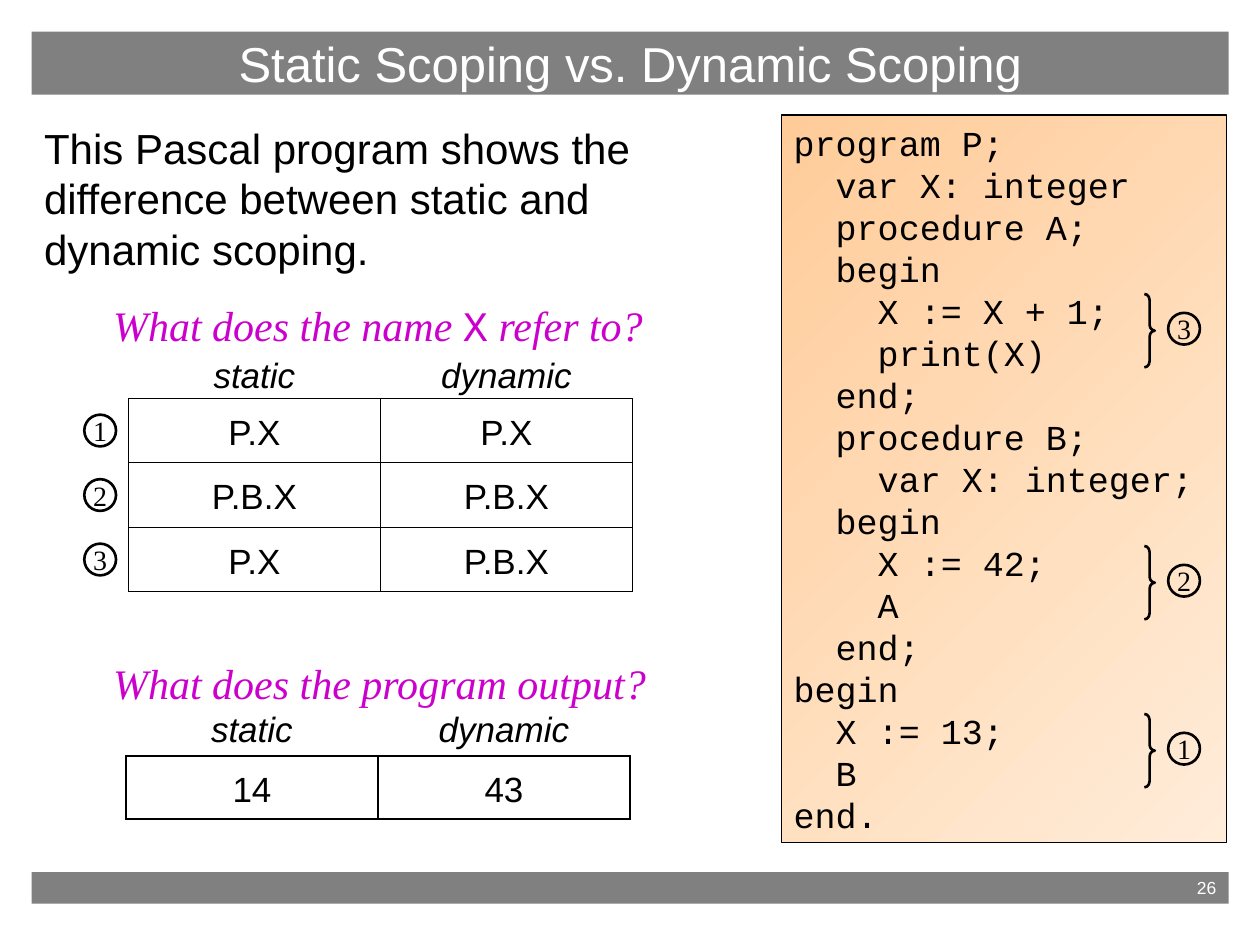
from dataclasses import dataclass
from typing import Optional

from lxml.etree import SubElement
from pptx import Presentation
from pptx.dml.color import RGBColor
from pptx.enum.shapes import MSO_SHAPE as Preset
from pptx.enum.text import MSO_ANCHOR as Anchor, PP_ALIGN as Align
from pptx.oxml.ns import qn
from pptx.util import Cm, Pt


@dataclass(frozen=True)
class TextStyle:
    font: str
    size: float
    color: str = "000000"
    italic: bool = False
    align: Align = Align.LEFT
    line_points: Optional[float] = None


@dataclass(frozen=True)
class Theme:
    bar: str = "808080"
    ink: str = "000000"
    code_dark: str = "FFCC99"
    code_light: str = "FFECD9"
    thin: float = 0.75
    thick: float = 1.5
    title: TextStyle = TextStyle("Arial", 28, "FFFFFF", align=Align.CENTER)
    page_number: TextStyle = TextStyle("Arial", 10, "FFFFFF", align=Align.RIGHT)
    body: TextStyle = TextStyle("Arial", 24, line_points=28.8)
    code: TextStyle = TextStyle("Courier New", 20, line_points=24)
    question: TextStyle = TextStyle("Times New Roman", 24, "CC00CC", True)
    heading: TextStyle = TextStyle("Arial", 20, italic=True, align=Align.CENTER)
    cell: TextStyle = TextStyle("Arial", 20, align=Align.CENTER)
    badge: TextStyle = TextStyle("Times New Roman", 16, align=Align.CENTER)


@dataclass(frozen=True)
class Box:
    """A rectangle in centimetres."""
    left: float
    top: float
    width: float
    height: float

    def lengths(self) -> tuple:
        return Cm(self.left), Cm(self.top), Cm(self.width), Cm(self.height)


@dataclass(frozen=True)
class AnswerGrid:
    left: float
    top: float
    row_height: float
    heading_top: float
    rows: tuple


@dataclass(frozen=True)
class CodeMark:
    """A numbered brace beside two code lines, starting at first_line."""
    first_line: int
    number: str


THEME = Theme()
COLUMN = 5.08
BADGE = 0.64
LINE_PITCH = 2.54 / 3
HEADINGS = ("static", "dynamic")
MARKS = (CodeMark(4, "3"), CodeMark(10, "2"), CodeMark(14, "1"))
NAMES = AnswerGrid(2.59, 8.03, 1.3, 6.99,
                   (("P.X", "P.X"), ("P.B.X", "P.B.X"), ("P.X", "P.B.X")))
OUTPUT = AnswerGrid(2.54, 15.24, 1.27, 14.12, (("14", "43"),))
CODE = """program P;
  var X: integer
  procedure A;
  begin
    X := X + 1;
    print(X)
  end;
  procedure B;
    var X: integer;
  begin
    X := 42;
    A
  end;
begin
  X := 13;
  B
end."""


def rgb(color: str) -> RGBColor:
    return RGBColor.from_string(color)


def style_span(span, style: TextStyle) -> None:
    span.font.name = style.font
    span.font.size = Pt(style.size)
    span.font.italic = style.italic
    span.font.color.rgb = rgb(style.color)


def write(frame, text: str, style: TextStyle, anchor=Anchor.MIDDLE) -> None:
    frame.word_wrap = True
    frame.vertical_anchor = anchor
    para = frame.paragraphs[0]
    para.text = text
    para.alignment = style.align
    if style.line_points:
        para.line_spacing = Pt(style.line_points)
    for span in para.runs:
        style_span(span, style)


def add_text(page, box: Box, text: str, style: TextStyle, anchor=Anchor.MIDDLE):
    label = page.shapes.add_textbox(*box.lengths())
    write(label.text_frame, text, style, anchor)
    return label


def add_preset(page, preset: Preset, box: Box, line: float = 0):
    """Add an unfilled shape; a line width of 0 leaves out the outline."""
    shape = page.shapes.add_shape(preset, *box.lengths())
    shape.shadow.inherit = False
    shape.fill.background()
    if line:
        shape.line.color.rgb = rgb(THEME.ink)
        shape.line.width = Pt(line)
    else:
        shape.line.fill.background()
    return shape


def add_bar(page, box: Box, text: str, style: TextStyle) -> None:
    bar = add_preset(page, Preset.RECTANGLE, box)
    bar.fill.solid()
    bar.fill.fore_color.rgb = rgb(THEME.bar)
    write(bar.text_frame, text, style)


def add_badge(page, left: float, top: float, number: str) -> None:
    badge = add_preset(page, Preset.OVAL, Box(left, top, BADGE, BADGE), THEME.thick)
    frame = badge.text_frame
    write(frame, number, THEME.badge)
    frame.word_wrap = False
    frame.margin_left = frame.margin_right = frame.margin_top = frame.margin_bottom = 0


def add_code(page) -> None:
    panel = add_preset(page, Preset.RECTANGLE, Box(15.75, 2.32, 8.97, 14.66), THEME.thin)
    panel.fill.gradient()
    panel.fill.gradient_angle = 315
    for stop, color in zip(panel.fill.gradient_stops, (THEME.code_dark, THEME.code_light)):
        stop.color.rgb = rgb(color)
    write(panel.text_frame, CODE, THEME.code)
    for mark in MARKS:
        top = 2.54 + mark.first_line * LINE_PITCH
        brace = add_preset(page, Preset.RIGHT_BRACE, Box(23.07, top, 0.21, 1.48), THEME.thick)
        brace.adjustments[0] = 0.58
        add_badge(page, 23.55, top + 0.38, mark.number)


def outline_cell(cell) -> None:
    properties = cell._tc.get_or_add_tcPr()
    for side in ("a:lnL", "a:lnR", "a:lnT", "a:lnB"):
        edge = SubElement(properties, qn(side), w=str(Pt(THEME.thin)))
        fill = SubElement(edge, qn("a:solidFill"))
        SubElement(fill, qn("a:srgbClr"), val=THEME.ink)


def add_grid(page, grid: AnswerGrid) -> None:
    for index, heading in enumerate(HEADINGS):
        box = Box(grid.left + index * COLUMN, grid.heading_top, COLUMN, 1.12)
        add_text(page, box, heading, THEME.heading)
    count = len(grid.rows)
    box = Box(grid.left, grid.top, COLUMN * len(HEADINGS), grid.row_height * count)
    table = page.shapes.add_table(count, len(HEADINGS), *box.lengths()).table
    table.first_row = table.horz_banding = False
    for row, answers in enumerate(grid.rows):
        for column, answer in enumerate(answers):
            cell = table.cell(row, column)
            outline_cell(cell)
            cell.fill.background()
            cell.margin_top, cell.margin_bottom = Cm(0.2), Cm(0.1)
            cell.vertical_anchor = Anchor.MIDDLE
            write(cell.text_frame, answer, THEME.cell)
            cell.vertical_anchor = Anchor.MIDDLE


def add_question(page, top: float, *parts: str) -> None:
    """Write a question whose every second part is code."""
    label = add_text(page, Box(2.03, top, 11.8, 1.27), parts[0], THEME.question)
    para = label.text_frame.paragraphs[0]
    for index, part in enumerate(parts[1:], 1):
        span = para.add_run()
        span.text = part
        style_span(span, THEME.question)
        if index % 2:
            span.font.name = THEME.code.font
            span.font.italic = False


def main() -> None:
    deck = Presentation()
    deck.slide_width, deck.slide_height = Cm(25.4), Cm(19.05)
    page = deck.slides.add_slide(deck.slide_layouts[6])
    add_bar(page, Box(0.64, 17.58, 24.13, 0.64), "26", THEME.page_number)
    add_bar(page, Box(0.64, 0.64, 24.13, 1.27),
            "Static Scoping vs. Dynamic Scoping", THEME.title)
    add_text(page, Box(0.64, 2.34, 14.61, 3.4),
             "This Pascal program shows the difference between static and dynamic scoping.",
             THEME.body, Anchor.TOP)
    add_code(page)
    add_question(page, 5.92, "What does the name ", "X", " refer to?")
    add_grid(page, NAMES)
    for row in range(len(NAMES.rows)):
        top = NAMES.top + row * NAMES.row_height + (NAMES.row_height - BADGE) / 2
        add_badge(page, 1.7, top, str(row + 1))
    add_question(page, 13.13, "What does the program output?")
    add_grid(page, OUTPUT)
    deck.save("out.pptx")


if __name__ == "__main__":
    main()
